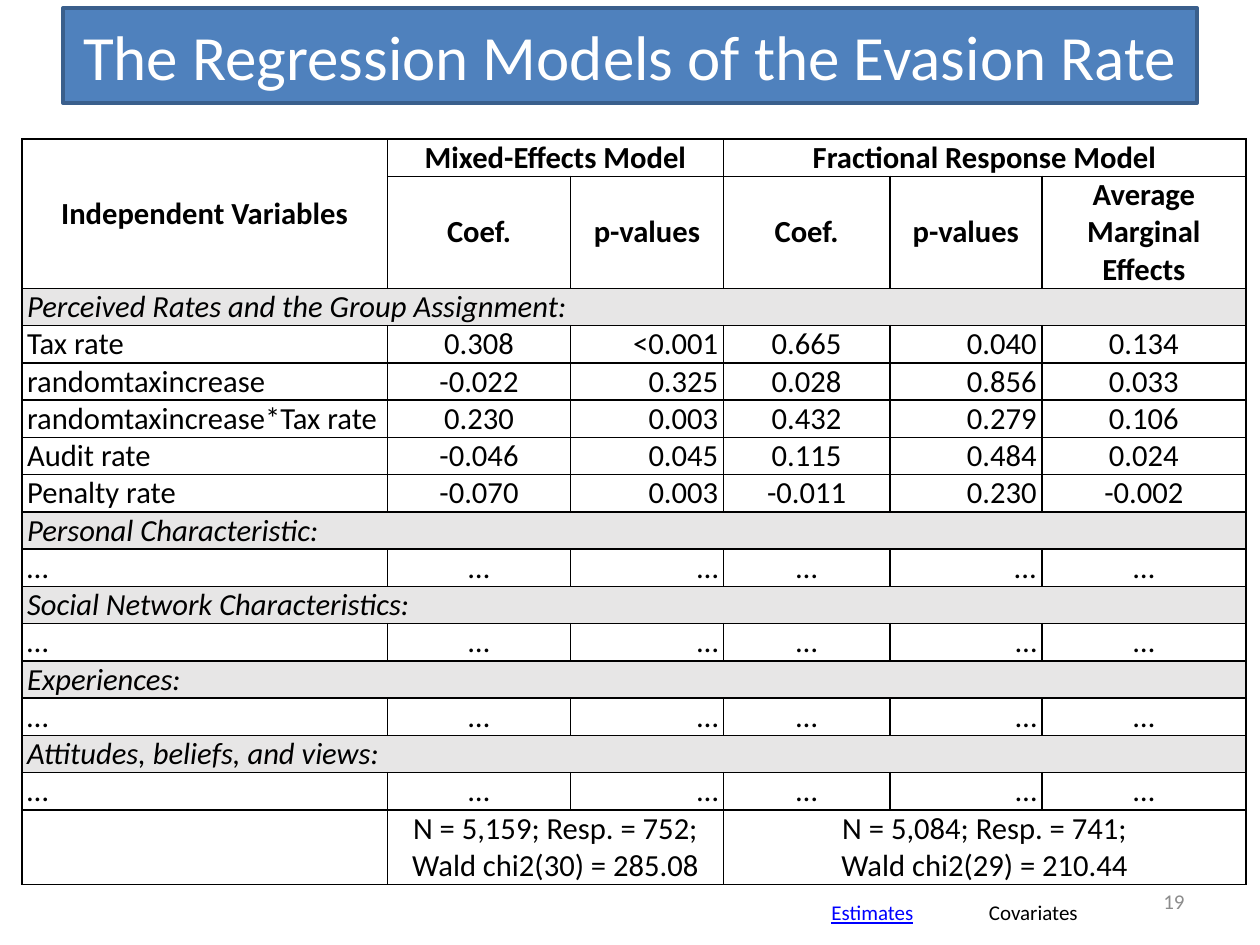
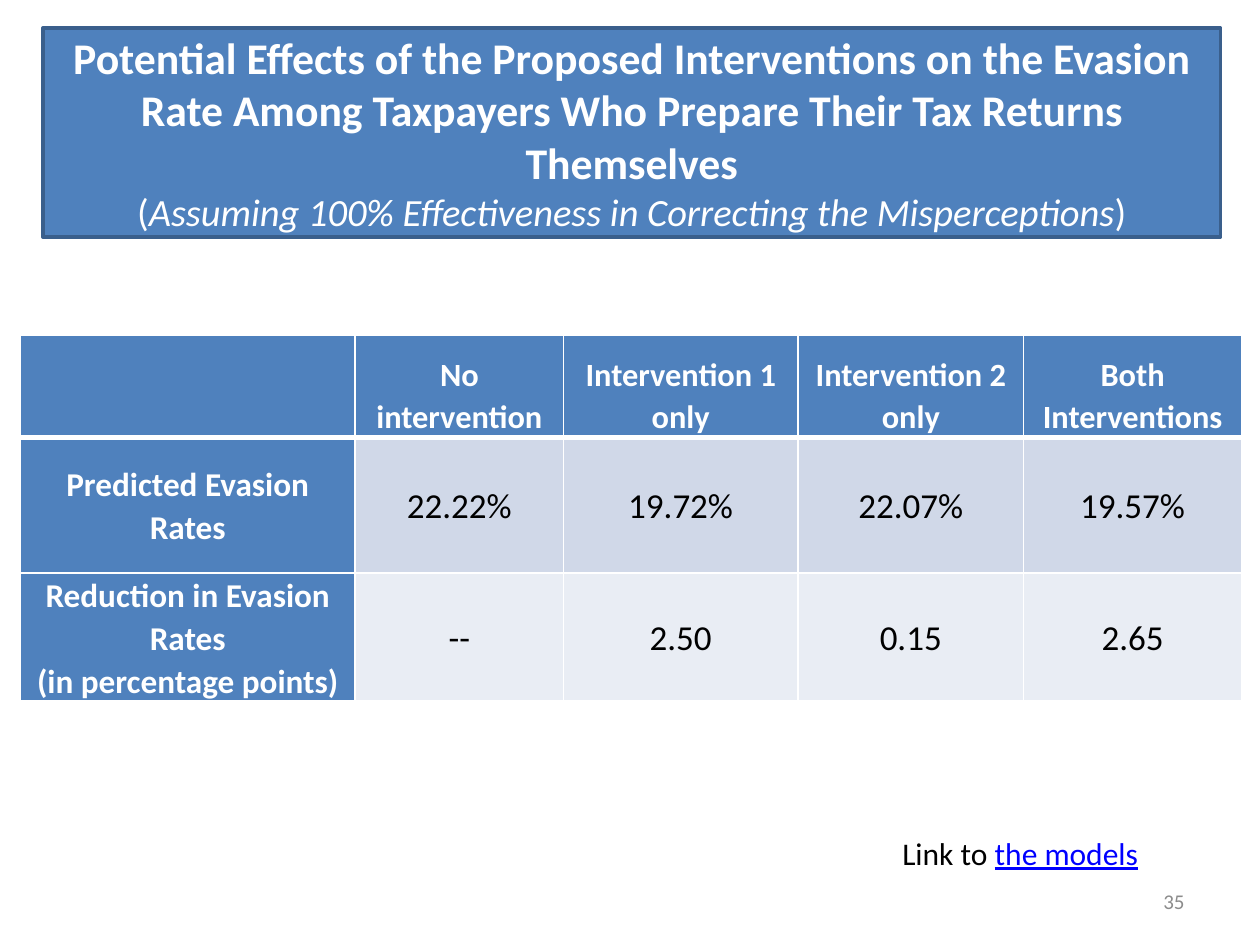
import pptx
import pptx.dml.color
import pptx.enum.text
import pptx.oxml
import pptx.oxml.ns
import pptx.util

Pt = pptx.util.Pt
ALIGN = pptx.enum.text.PP_ALIGN
ANCHOR = pptx.enum.text.MSO_ANCHOR
LEFT, MID, RIGHT = ALIGN.LEFT, ALIGN.CENTER, ALIGN.RIGHT

HUES = {
    "band": "4F81BD", "edge": "3A5F8C", "white": "FFFFFF", "black": "000000",
    "link": "0000FF", "page": "8C8C8C", "group": "E7E6E6",
    "dark": "D0D8E8", "light": "E9EDF4",
}


def hue(name):
    return pptx.dml.color.RGBColor.from_string(HUES[name])


class Deck:
    font = "Calibri"

    def __init__(self):
        self.prs = pptx.Presentation()
        self.prs.slide_width, self.prs.slide_height = Pt(720), Pt(540)
        self.slide = None

    def start(self, page):
        self.slide = self.prs.slides.add_slide(self.prs.slide_layouts[5])
        self.label(page, 516, 500.5, 168, 29, 12, "page", align=RIGHT,
                   anchor=ANCHOR.MIDDLE)

    def style(self, run, size, color="black", bold=False, italic=False,
              under=False):
        font = run.font
        font.name, font.size = self.font, Pt(size)
        font.bold, font.italic, font.underline = bold, italic, under
        font.color.rgb = hue(color)

    def put(self, frame, text, size, color="black", align=LEFT, space=None,
            **look):
        """Set the text of a frame and format all its runs."""
        frame.text = text
        for para in frame.paragraphs:
            para.alignment = align
            if space:
                para.line_spacing = space
            for run in para.runs:
                self.style(run, size, color, **look)

    def extend(self, para, text, size, color, **look):
        """Add a run with its own look to the end of a paragraph."""
        run = para.add_run()
        run.text = text
        self.style(run, size, color, **look)

    def title(self, text, left, top, width, height, size, **look):
        shape = self.slide.shapes.title
        shape.left, shape.top = Pt(left), Pt(top)
        shape.width, shape.height = Pt(width), Pt(height)
        shape.fill.solid()
        shape.fill.fore_color.rgb = hue("band")
        shape.line.color.rgb = hue("edge")
        shape.line.width = Pt(2)
        frame = shape.text_frame
        frame.auto_size = pptx.enum.text.MSO_AUTO_SIZE.NONE
        frame.vertical_anchor = ANCHOR.MIDDLE
        self.put(frame, text, size, "white", MID, **look)
        return frame

    def label(self, text, left, top, width, height, size, color="black",
              align=LEFT, anchor=ANCHOR.TOP, **look):
        box = self.slide.shapes.add_textbox(Pt(left), Pt(top), Pt(width),
                                            Pt(height))
        frame = box.text_frame
        frame.word_wrap = True
        frame.vertical_anchor = anchor
        self.put(frame, text, size, color, align, **look)
        return frame

    def table(self, left, top, cols, rows):
        frame = self.slide.shapes.add_table(
            len(rows), len(cols), Pt(left), Pt(top), Pt(sum(cols)),
            Pt(sum(rows)))
        grid = frame.table
        grid.first_row = grid.horz_banding = False
        for col, width in zip(grid.columns, cols):
            col.width = Pt(width)
        for row, height in zip(grid.rows, rows):
            row.height = Pt(height)
        return grid

    def cell(self, cell, fill, line, pad, widths=(1, 1, 1, 1)):
        """Fill a cell and rule its left, right, top and bottom sides."""
        cell.fill.solid()
        cell.fill.fore_color.rgb = hue(fill)
        cell.margin_left = cell.margin_right = Pt(pad)
        cell.margin_top = cell.margin_bottom = 0
        cell.vertical_anchor = ANCHOR.MIDDLE
        props = cell._tc.get_or_add_tcPr()
        for spot, (side, width) in enumerate(zip("LRTB", widths)):
            props.insert(spot, pptx.oxml.parse_xml(
                f'<a:ln{side} {pptx.oxml.ns.nsdecls("a")} w="{Pt(width)}">'
                f'<a:solidFill><a:srgbClr val="{HUES[line]}"/></a:solidFill>'
                f'</a:ln{side}>'))


def models(deck):
    deck.start("19")
    deck.title("The Regression Models of the Evasion Rate",
               36, 4.5, 648, 54.5, 36)
    dots = ["…"] * 6
    rows = [
        ["Independent Variables", "Mixed-Effects Model", "",
         "Fractional Response Model"],
        ["", "Coef.", "p-values", "Coef.", "p-values",
         "Average Marginal Effects"],
        ["Perceived Rates and the Group Assignment:"],
        ["Tax rate", "0.308", "<0.001", "0.665", "0.040", "0.134"],
        ["randomtaxincrease", "-0.022", "0.325", "0.028", "0.856", "0.033"],
        ["randomtaxincrease*Tax rate", "0.230", "0.003", "0.432", "0.279",
         "0.106"],
        ["Audit rate", "-0.046", "0.045", "0.115", "0.484", "0.024"],
        ["Penalty rate", "-0.070", "0.003", "-0.011", "0.230", "-0.002"],
        ["Personal Characteristic:"], dots[:4] + ["...", "…"],
        ["Social Network Characteristics:"], dots,
        ["Experiences:"], dots,
        ["Attitudes, beliefs, and views:"], dots,
        ["", "N = 5,159; Resp. = 752;\nWald chi2(30) = 285.08", "",
         "N = 5,084; Resp. = 741;\nWald chi2(29) = 210.44"],
    ]
    last = len(rows) - 1
    tall = {1: 64, last: 42.7}
    grid = deck.table(12.5, 79.5, [209, 104.5, 87.5, 95, 87, 116.5],
                      [tall.get(r, 21.3) for r in range(len(rows))])
    sides = [LEFT, MID, RIGHT, MID, RIGHT, MID]
    for r, row in enumerate(rows):
        group = len(row) == 1
        for c in range(6):
            cell = grid.cell(r, c)
            deck.cell(cell, "group" if group else "white", "black", 3)
            if c < len(row) and row[c]:
                align = MID if r in (0, 1, last) else sides[c]
                deck.put(cell.text_frame, row[c], 17.5, align=align,
                         bold=r < 2, italic=group)
        if group:
            grid.cell(r, 0).merge(grid.cell(r, 5))
    grid.cell(0, 0).merge(grid.cell(1, 0))
    for r in (0, last):
        grid.cell(r, 1).merge(grid.cell(r, 2))
        grid.cell(r, 3).merge(grid.cell(r, 5))
    deck.label("Covariates", 558, 510.5, 70, 21.5, 12)
    deck.label("Estimates", 468, 510.5, 79, 21.5, 12, "link", under=True)


def effects(deck):
    deck.start("35")
    frame = deck.title(
        "Potential Effects of the Proposed Interventions on the Evasion Rate "
        "Among Taxpayers Who Prepare Their Tax Returns Themselves",
        24.5, 16, 673, 119.5, 25, bold=True)
    para = frame.add_paragraph()
    para.alignment = MID
    note = "Assuming 100% Effectiveness in Correcting the Misperceptions"
    for text, italic in (("(", False), (note, True), (")", False)):
        deck.extend(para, text, 22, "white", italic=italic)

    rows = [
        ["", "No intervention", "Intervention 1 only", "Intervention 2 only",
         "Both Interventions"],
        ["Predicted Evasion Rates", "22.22%", "19.72%", "22.07%", "19.57%"],
        ["Reduction in Evasion Rates\n(in percentage points)", "--", "2.50",
         "0.15", "2.65"],
    ]
    grid = deck.table(11.5, 191.5, [191.5, 119, 134, 129, 124.5],
                      [58.5, 77.5, 73])
    fills = ["band", "dark", "light"]
    rules = [(1, 1, 1, 3), (1, 1, 3, 1), (1, 1, 1, 1)]
    for r, row in enumerate(rows):
        for c, text in enumerate(row):
            head = r == 0 or c == 0
            cell = grid.cell(r, c)
            deck.cell(cell, "band" if head else fills[r], "white", 8, rules[r])
            if r == 0:
                cell.vertical_anchor = ANCHOR.BOTTOM
            if text:
                size = 18.5 if r == 0 else 19 if c == 0 else 20
                deck.put(cell.text_frame, text, size,
                         "white" if head else "black", MID, 1.07, bold=head)
    link = deck.label("Link to ", 508.5, 473, 153.5, 29, 18)
    deck.extend(link.paragraphs[0], "the models", 18, "link", under=True)


def main():
    deck = Deck()
    models(deck)
    effects(deck)
    deck.prs.save("out.pptx")


if __name__ == "__main__":
    main()
